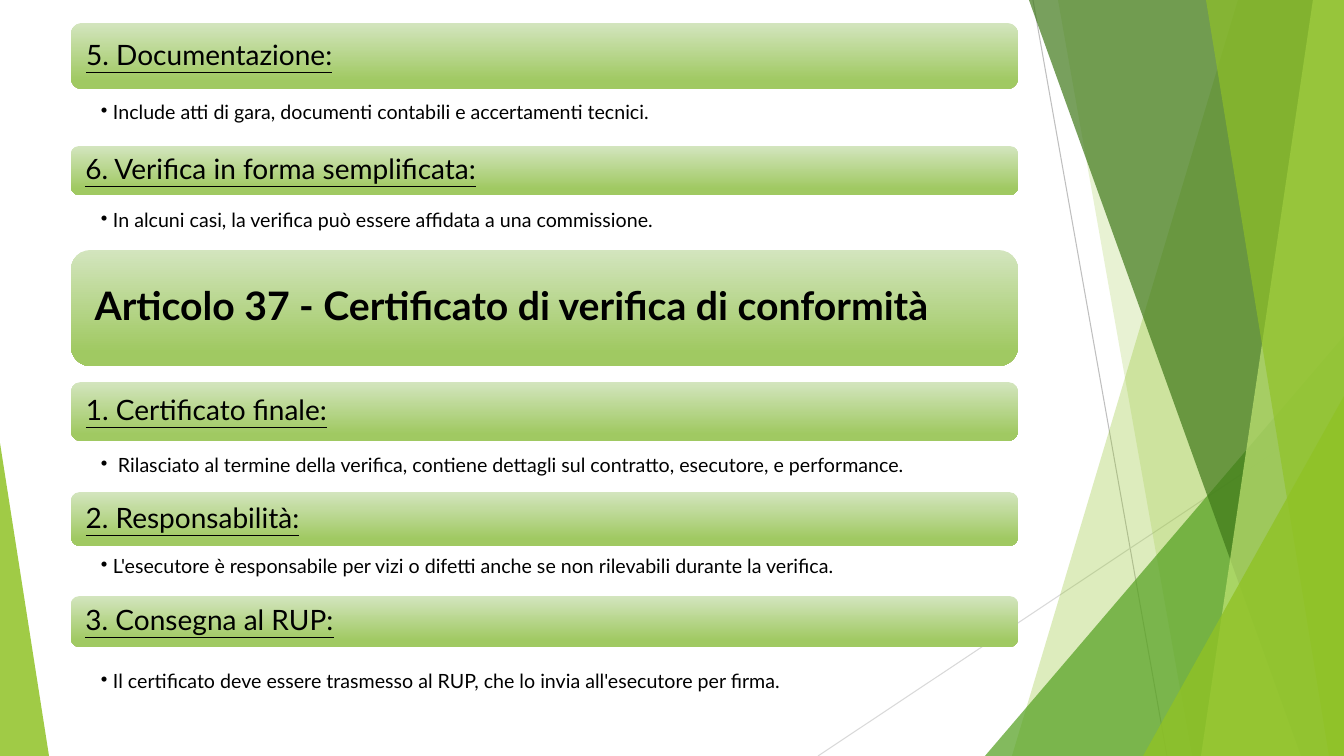
import pptx
import pptx.util
import pptx.dml.color
import pptx.enum.shapes
import pptx.enum.text
import pptx.oxml
import pptx.oxml.ns
from dataclasses import dataclass

SCALE = 914400 / 100.8
WIDE, HIGH = 1344, 756


@dataclass(frozen=True)
class Theme:
    font: str = "Lato"
    ink: str = "000000"
    top: str = "D3E5BE"
    base: str = "A0C962"
    lime: str = "90C226"
    leaf: str = "54A021"
    dark: str = "3F7819"
    pale: str = "C0E474"
    gray: str = "BFBFBF"
    mist: str = "D9D9D9"
    title: int = 28
    head: int = 20
    note: int = 14


THEME = Theme()
SHAPE = pptx.enum.shapes.MSO_SHAPE

# Text, top and height of each bar, then its note and the note's top
ITEMS = [
    ("5. Documentazione:", 23, 66,
     "Include atti di gara, documenti contabili e accertamenti tecnici.", 101),
    ("6. Verifica in forma semplificata:", 146, 49,
     "In alcuni casi, la verifica può essere affidata a una commissione.", 209),
    ("1. Certificato finale:", 382, 59,
     " Rilasciato al termine della verifica, contiene dettagli sul contratto, "
     "esecutore, e performance.", 454),
    ("2. Responsabilità:", 492, 54,
     "L'esecutore è responsabile per vizi o difetti anche se non rilevabili "
     "durante la verifica.", 555),
    ("3. Consegna al RUP:", 596, 51,
     "Il certificato deve essere trasmesso al RUP, che lo invia all'esecutore "
     "per firma.", 670),
]


def px(num):
    return pptx.util.Emu(round(num * SCALE))


def span(*nums):
    return [px(num) for num in nums]


def color(code):
    return pptx.dml.color.RGBColor.from_string(code)


def add_node(node, tag, **attrs):
    kid = pptx.oxml.parse_xml(f"<{tag} {pptx.oxml.ns.nsdecls('a')}/>")
    for name, value in attrs.items():
        kid.set(name, str(value))
    node.append(kid)
    return kid


def tint(shape, code, alpha):
    """Fill a shape with one color at a percentage of opacity."""
    shape.shadow.inherit = False
    shape.line.fill.background()
    shape.fill.solid()
    shape.fill.fore_color.rgb = color(code)
    node = shape.fill._xPr.find(".//" + pptx.oxml.ns.qn("a:srgbClr"))
    add_node(node, "a:alpha", val=alpha * 1000)


def add_line(slide, start, end, code):
    line = slide.shapes.add_connector(
        pptx.enum.shapes.MSO_CONNECTOR.STRAIGHT, *span(*start, *end))
    line.line.color.rgb = color(code)
    line.line.width = pptx.util.Pt(0.75)
    add_node(line._element.spPr, "a:effectLst")


def add_facet(slide, box, top, base, code, alpha):
    """Draw a panel from a slanted left edge to the right side of the box."""
    left, y, wide, high = box
    right, low = left + wide, y + high
    form = slide.shapes.build_freeform(*span(left + top, y), scale=1.0)
    form.add_line_segments(
        [span(right, y), span(right, low), span(left + base, low)], close=True)
    tint(form.convert_to_shape(), code, alpha)


def add_wedge(slide, box, apex, code, alpha):
    wedge = slide.shapes.add_shape(SHAPE.ISOSCELES_TRIANGLE, *span(*box))
    wedge.adjustments[0] = apex
    tint(wedge, code, alpha)


def add_decor(slide, box):
    left, top, wide, high = box
    right, low = left + wide, top + high
    add_line(slide, (left + 1033, top), (left + 1167, low), THEME.gray)
    add_line(slide, (right, top + 406), (left + 818, low), THEME.mist)
    add_facet(slide, box, 1238, 1012, THEME.lime, 30)
    add_facet(slide, box, 1058, 1192, THEME.lime, 20)
    add_wedge(slide, (right - 359, low - 420, 359, 420), 1, THEME.leaf, 72)
    add_facet(slide, box, 1029, 1301, THEME.dark, 70)
    add_facet(slide, box, 1313, 1201, THEME.pale, 70)
    add_facet(slide, box, 1206, 1329, THEME.lime, 65)
    add_wedge(slide, (right - 201, low - 360, 201, 360), 1, THEME.lime, 80)
    add_wedge(slide, (left, low - 313, 49, 313), 0, THEME.lime, 85)


def set_text(shape, text, size, pads, anchor):
    """Write one left-aligned paragraph and return it with its run."""
    frame = shape.text_frame
    frame.word_wrap = True
    frame.vertical_anchor = anchor
    (frame.margin_left, frame.margin_top,
     frame.margin_right, frame.margin_bottom) = span(*pads)
    para = frame.paragraphs[0]
    para.alignment = pptx.enum.text.PP_ALIGN.LEFT
    para.line_spacing = 0.9
    run = para.add_run()
    run.text = text
    run.font.name = THEME.font
    run.font.size = pptx.util.Pt(size)
    run.font.color.rgb = color(THEME.ink)
    return para, run


def add_bar(slide, box, text, size, pad):
    bar = slide.shapes.add_shape(SHAPE.ROUNDED_RECTANGLE, *span(*box))
    bar.shadow.inherit = False
    bar.line.fill.background()
    bar.fill.gradient()
    bar.fill.gradient_angle = 270
    looks = [(0, THEME.top), (0.88, THEME.base)]
    for stop, (place, code) in zip(bar.fill.gradient_stops, looks):
        stop.position = place
        stop.color.rgb = color(code)
    pads = (pad, 8, pad, 8)
    return set_text(bar, text, size, pads, pptx.enum.text.MSO_ANCHOR.MIDDLE)[1]


def add_note(slide, box, text):
    note = slide.shapes.add_textbox(*span(*box))
    para, _ = set_text(note, text, THEME.note, (30, 2, 11, 2),
                       pptx.enum.text.MSO_ANCHOR.TOP)
    props = para._p.get_or_add_pPr()
    props.set("marL", str(px(12)))
    props.set("indent", str(px(-12)))
    add_node(props, "a:buChar", char="•")


def add_list(slide, box):
    left, top, wide, _ = box
    for head, y, high, note, low in ITEMS:
        run = add_bar(slide, (left, top + y, wide, high), head, THEME.head, 12)
        run.font.underline = True
        add_note(slide, (left, top + low, wide, 36), note)
    run = add_bar(slide, (left, top + 250, wide, 116),
                  "Articolo 37 - Certificato di verifica di conformità",
                  THEME.title, 18)
    run.font.bold = True


def main():
    deck = pptx.Presentation()
    deck.slide_width, deck.slide_height = span(WIDE, HIGH)
    slide = deck.slides.add_slide(deck.slide_layouts[6])
    add_decor(slide, (0, 0, WIDE, HIGH))
    add_list(slide, (71, 0, 947, HIGH))
    deck.save("out.pptx")


if __name__ == "__main__":
    main()
